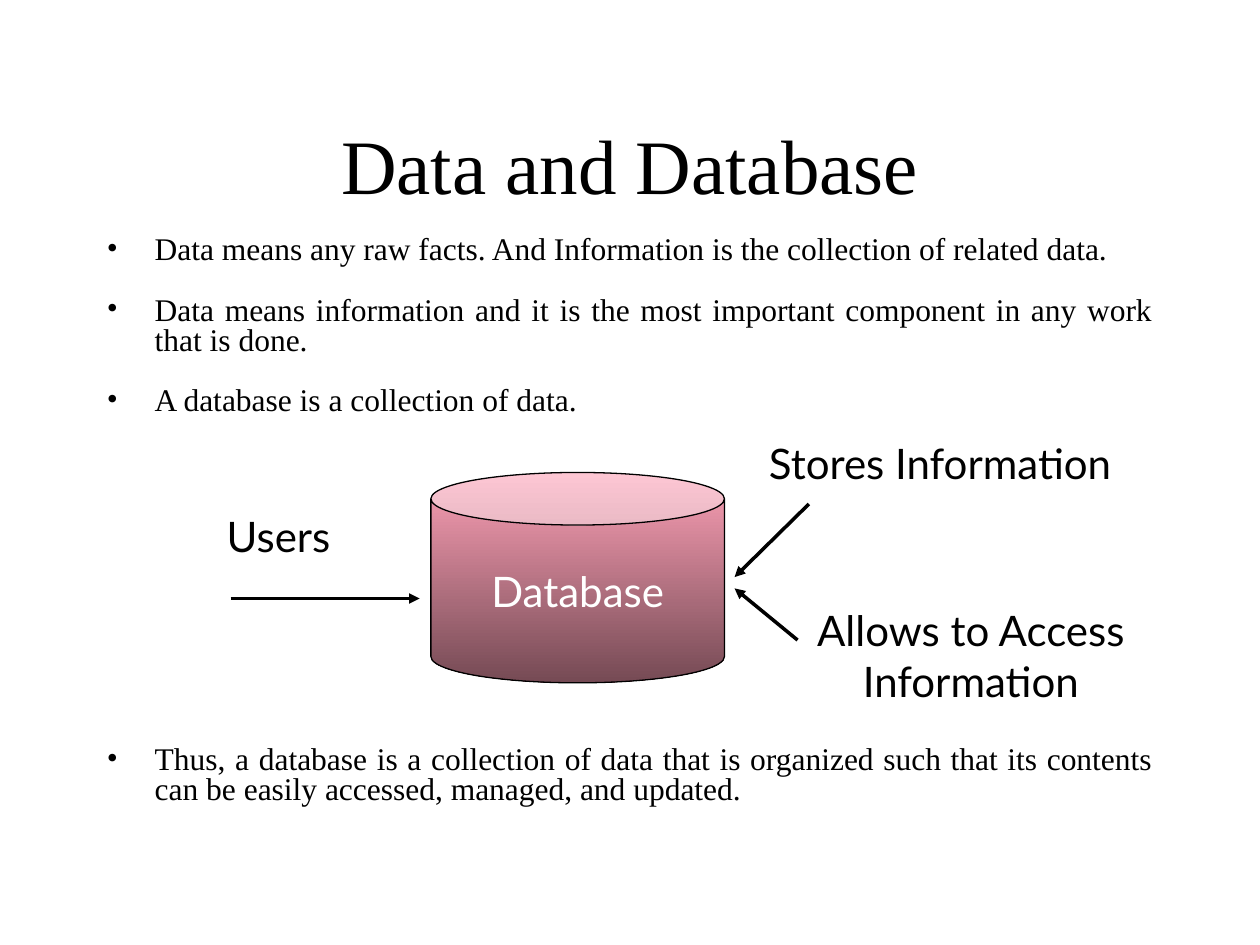
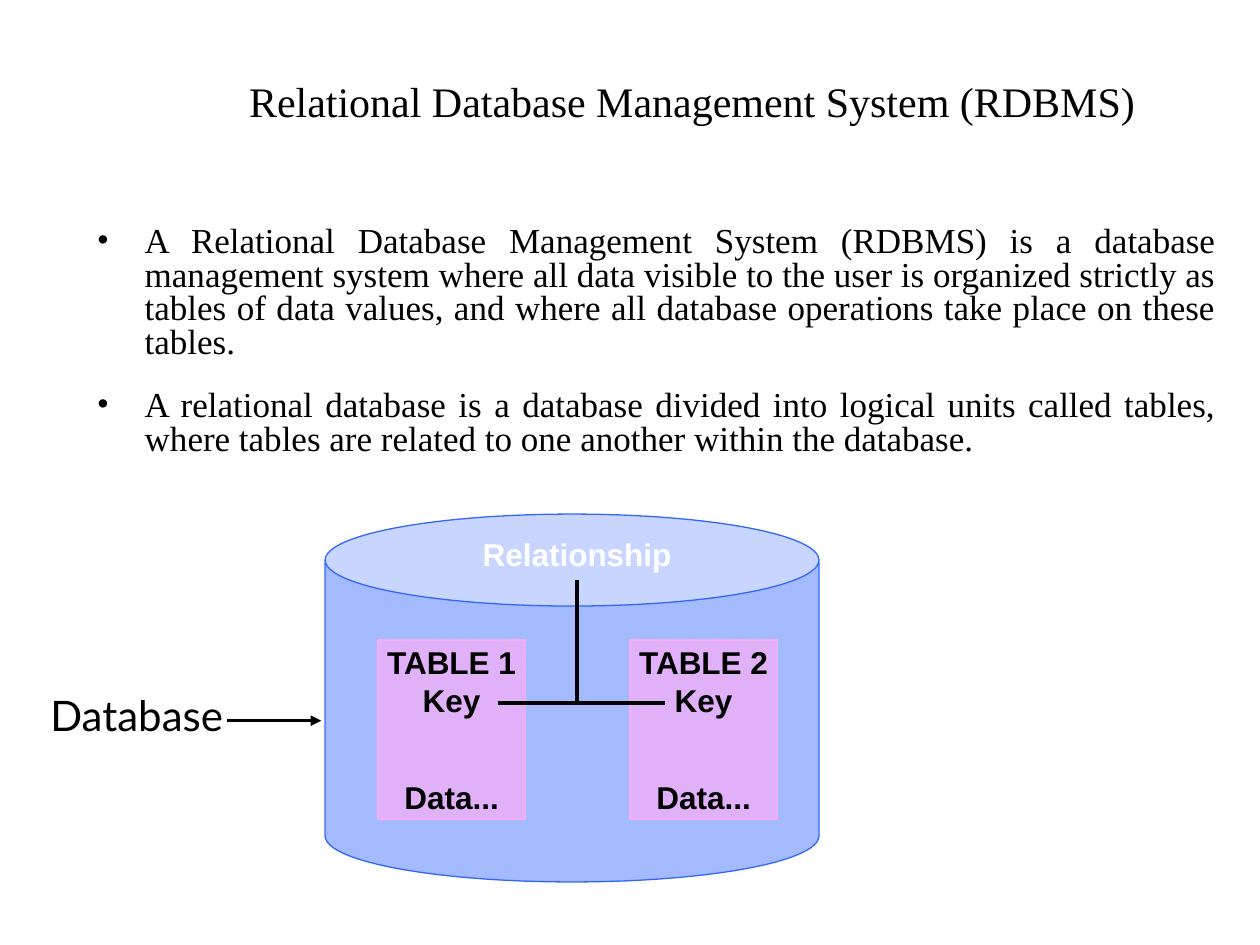
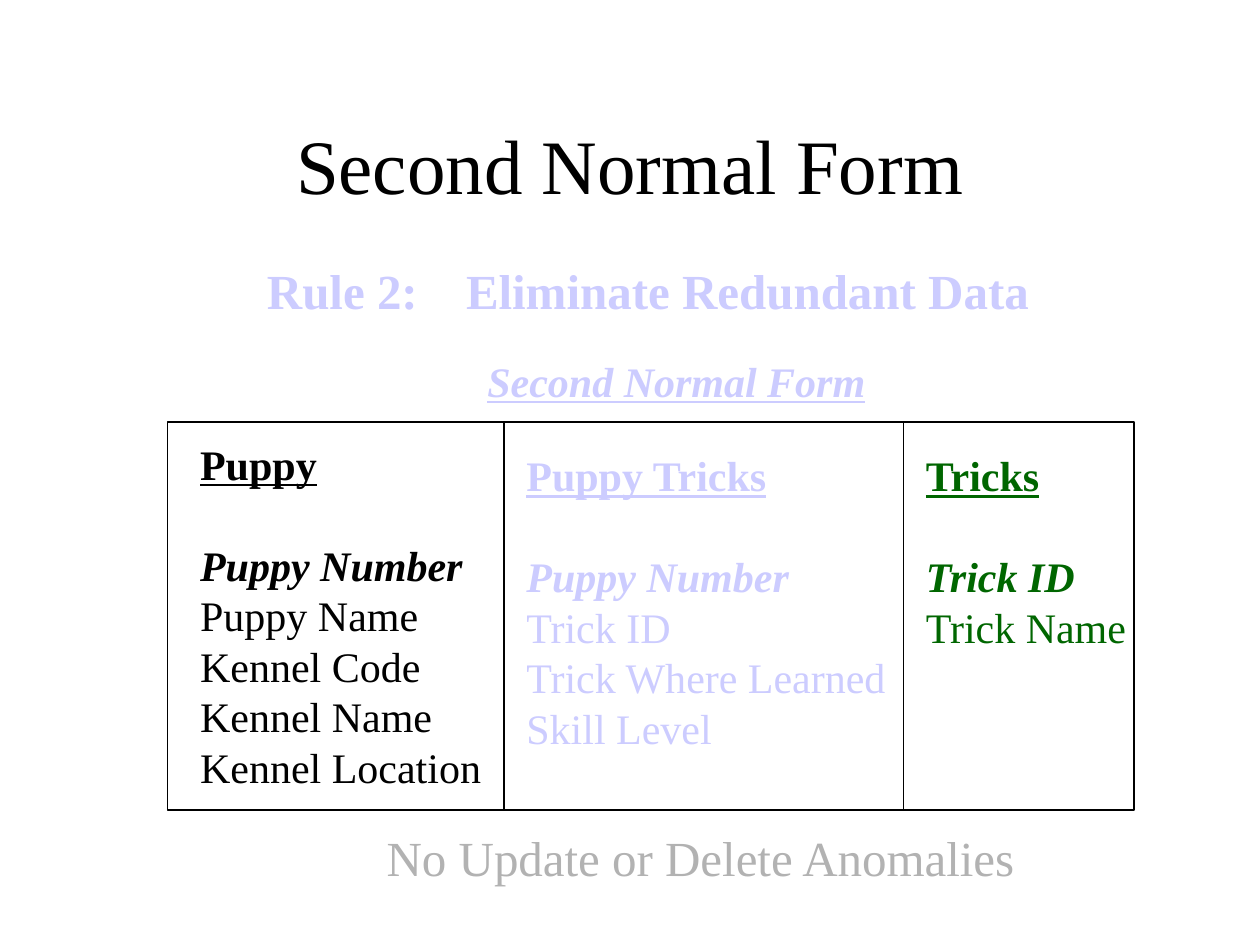
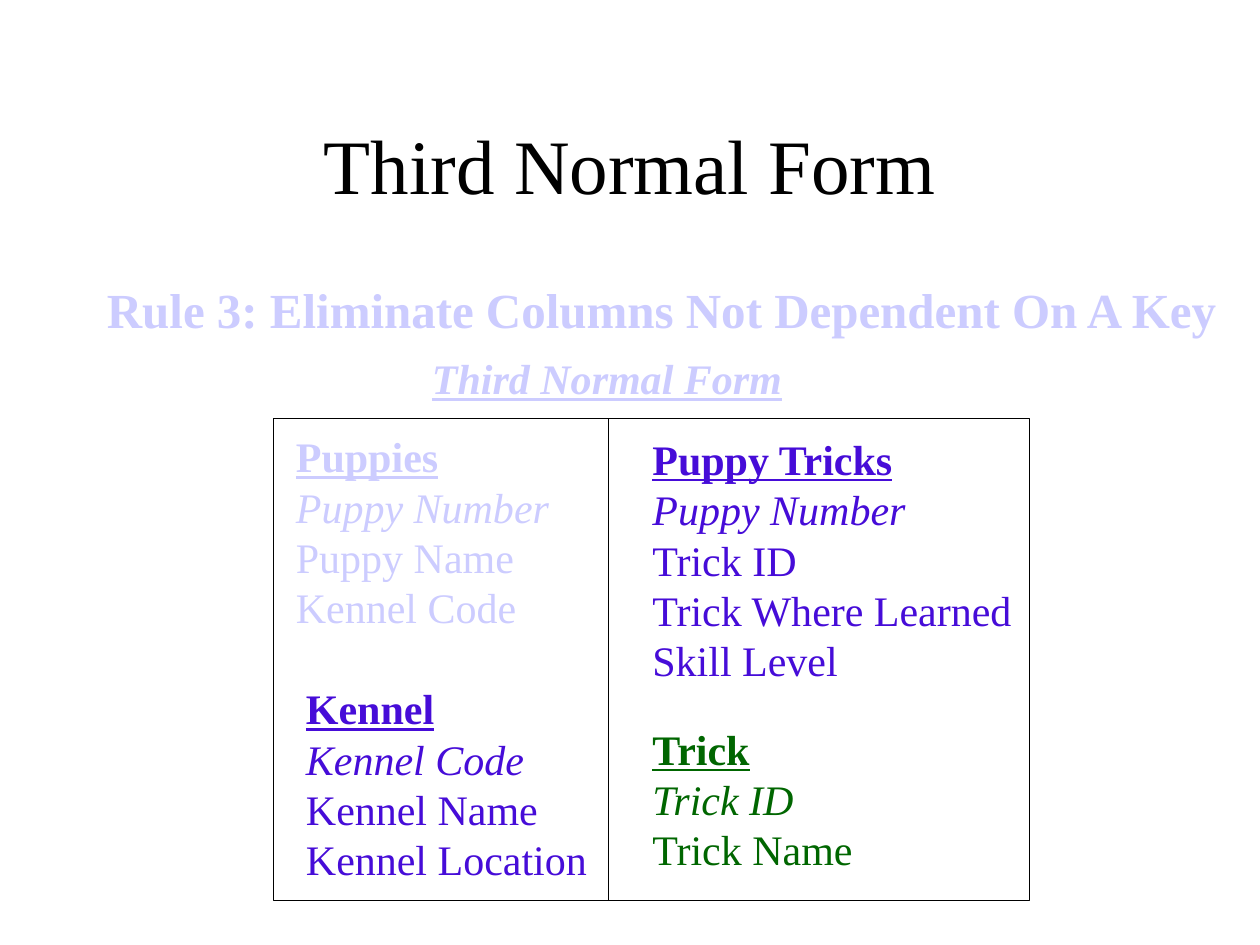
"""Build four slides about databases and normal forms."""
from lxml import etree
from pptx import Presentation, util as u
from pptx.dml.color import RGBColor
from pptx.enum import shapes, text
from pptx.oxml import ns

SERIF, SANS, LABEL = "Times New Roman", "Arial", "Lato"
BLACK, WHITE, GREY = "000000", "FFFFFF", "B2B2B2"
LILAC, VIOLET, GREEN = "CCCCFF", "460CD8", "006600"
BLUE, PINK = "3366FF", "F9ADF7"
ROSE_GRADIENT = ("FCA0B6", "754A54")
CENTER, JUSTIFY, LEFT = text.PP_ALIGN.CENTER, text.PP_ALIGN.JUSTIFY, text.PP_ALIGN.LEFT
TITLE_BOX = (0.75, 0.67, 8.5, 1.25)
LINE_HEIGHT = 0.4


def color(value):
    """Turn a hex string into a colour."""
    return RGBColor.from_string(value)


def apply_format(target, values):
    """Set every attribute named in a dict of format values."""
    for name, value in values.items():
        setattr(target, name, value)


def inches(*lengths):
    """Convert numbers to lengths in inches."""
    return [u.Inches(length) for length in lengths]


def add_child(parent, tag, **attributes):
    """Append a drawing element with attributes."""
    return etree.SubElement(parent, ns.qn(tag), attributes)


def style_text(paragraph, words, size, face=SERIF, tint=BLACK, align=LEFT, spacing=None, **font):
    """Fill a paragraph with one formatted run."""
    run = paragraph.add_run()
    run.text = words
    apply_format(run.font, {"size": u.Pt(size), "name": face, **font})
    run.font.color.rgb = color(tint)
    apply_format(paragraph, {"alignment": align, **(spacing or {})})
    return paragraph


def paragraphs(frame, count):
    """Return the wanted number of paragraphs in an empty frame."""
    return [frame.paragraphs[0]] + [frame.add_paragraph() for _ in range(count - 1)]


def add_text(slide, box, words, size, wrap=True, anchor=text.MSO_ANCHOR.TOP, **look):
    """Add a text box with one paragraph for the words."""
    shape = slide.shapes.add_textbox(*inches(*box))
    apply_format(shape.text_frame, {"word_wrap": wrap, "vertical_anchor": anchor})
    style_text(shape.text_frame.paragraphs[0], words, size, **look)
    return shape


def add_title(slide, words, size=44, box=TITLE_BOX):
    """Add the centred slide title."""
    add_text(slide, box, words, size, anchor=text.MSO_ANCHOR.MIDDLE, align=CENTER)


def add_label(slide, box, words):
    """Add a centred diagram label."""
    add_text(slide, box, words, 24, face=LABEL, align=CENTER)


def add_bullets(slide, box, items, size):
    """Add justified bullets given as pairs of words and space before."""
    frame = slide.shapes.add_textbox(*inches(*box)).text_frame
    frame.word_wrap = True
    for paragraph, (words, before) in zip(paragraphs(frame, len(items)), items):
        spacing = {"line_spacing": 0.8, "space_before": u.Pt(before)}
        style_text(paragraph, words, size, align=JUSTIFY, spacing=spacing)
        properties = paragraph._p.get_or_add_pPr()
        indent = u.Inches(0.38)
        properties.set("marL", str(indent))
        properties.set("indent", str(-indent))
        add_child(properties, "a:buFont", typeface=SERIF)
        add_child(properties, "a:buChar", char="•")


def add_line(slide, start, end, width=2, arrow=False):
    """Add a straight black connector."""
    line = slide.shapes.add_connector(shapes.MSO_CONNECTOR.STRAIGHT, *inches(*start, *end))
    line.line.color.rgb = color(BLACK)
    line.line.width = u.Pt(width)
    if arrow:
        add_child(line.line._get_or_add_ln(), "a:tailEnd", type="triangle")
    add_child(line._element.spPr, "a:effectLst")
    return line


def add_outlined(slide, kind, box, outline, fill=None, opacity=100):
    """Add a thinly outlined shape with an optional translucent fill."""
    shape = slide.shapes.add_shape(kind, *inches(*box))
    shape.shadow.inherit = False
    shape.line.color.rgb = color(outline)
    shape.line.width = u.Pt(0.75)
    if fill is None:
        shape.fill.background()
    else:
        shape.fill.solid()
        shape.fill.fore_color.rgb = color(fill)
        solid = shape._element.spPr.find(ns.qn("a:solidFill"))
        add_child(solid[0], "a:alpha", val=str(opacity * 1000))
    return shape


def store_diagram(slide, left, top):
    """Draw the database with its users and its two services."""
    can = add_outlined(slide, shapes.MSO_SHAPE.CAN, (left + 1.75, top + 0.33, 2.33, 1.67), BLACK)
    can.fill.gradient()
    can.fill.gradient_angle = 270
    for stop, tint in zip(can.fill.gradient_stops, ROSE_GRADIENT):
        stop.color.rgb = color(tint)
    can.text_frame.word_wrap = False
    style_text(can.text_frame.paragraphs[0], "Database", 24, LABEL, WHITE, CENTER)
    for words, x, y, width in (
        ("Users", 0, 0.58, 1.08),
        ("Allows to Access Information", 4.41, 1.33, 3.25),
        ("Stores Information", 4.33, 0, 2.92),
    ):
        add_label(slide, (left + x, top + y, width, 0.9), words)
    for x1, y1, x2, y2 in (
        (4.75, 0.58, 4.16, 1.16),
        (4.66, 1.66, 4.16, 1.25),
        (0.16, 1.33, 1.66, 1.33),
    ):
        add_line(slide, (left + x1, top + y1), (left + x2, top + y2), arrow=True)


def key_table(slide, box, name):
    """Draw one translucent table card."""
    card = add_outlined(slide, shapes.MSO_SHAPE.RECTANGLE, box, PINK, PINK, 71)
    card.text_frame.word_wrap = False
    rows = ((name, 0), ("Key", 0), ("Data...", 34))
    for paragraph, (words, before) in zip(paragraphs(card.text_frame, len(rows)), rows):
        style_text(paragraph, words, 18, SANS, BLACK, CENTER, {"space_before": u.Pt(before)}, bold=True)


def relation_diagram(slide, left, top):
    """Draw two tables related by key inside a database."""
    add_outlined(slide, shapes.MSO_SHAPE.CAN, (left + 2.33, top, 3.92, 2.92), BLUE, BLUE, 45)
    for index in range(2):
        key_table(slide, (left + 2.75 + 2 * index, top + 1, 1.17, 1.42), f"TABLE {index + 1}")
    label = add_text(slide, (left + 3.37, top + 0.12, 1.92, 0.4), "Relationship", 18,
                     face=SANS, tint=WHITE, align=CENTER, bold=True)
    add_line(slide, (left + 3.7, top + 1.5), (left + 5.03, top + 1.5))
    stem = add_line(slide, (left + 4.33, top + 0.5), (left + 4.33, top + 1.5))
    stem.begin_connect(label, 2)
    add_label(slide, (left, top + 1.34, 1.67, 0.9), "Database")
    add_line(slide, (left + 1.55, top + 1.64), (left + 2.3, top + 1.64), arrow=True)


def add_listing(slide, left, top, width, tint, fields, bold_key, gap):
    """List an entity's heading, its key and its other fields."""
    lines = len(fields) + (1 if gap else 0)
    shape = slide.shapes.add_textbox(*inches(left, top, width, lines * LINE_HEIGHT + 0.1))
    frame = shape.text_frame
    frame.word_wrap = False
    looks = [{"bold": True, "underline": True}, {"bold": bold_key, "italic": True}]
    looks += [{}] * (len(fields) - 2)
    for index, paragraph in enumerate(paragraphs(frame, len(fields))):
        spacing = {"space_before": u.Pt(gap if index == 1 else 0)}
        style_text(paragraph, fields[index], 24, tint=tint, spacing=spacing, **looks[index])


def entity_grid(slide, box, dividers, listings, bold_key=False, gap=0):
    """Draw a framed grid of entity listings."""
    left, top, _, height = box
    for x, y, width, tint, fields in listings:
        add_listing(slide, left + x, top + y, width, tint, fields, bold_key, gap)
    add_outlined(slide, shapes.MSO_SHAPE.RECTANGLE, box, BLACK)
    for x in dividers:
        add_line(slide, (left + x, top), (left + x, top + height), 0.75)


def form_heading(slide, title, rule, rule_box, caption_box):
    """Add the title, rule and caption of a normal form; return the rule."""
    add_title(slide, title)
    shape = add_text(slide, rule_box, rule, 28, tint=LILAC, bold=True)
    add_text(slide, caption_box, title, 24, wrap=False, tint=LILAC,
             bold=True, italic=True, underline=True)
    return shape


def data_slide(slide):
    """Build the slide on data and databases."""
    add_title(slide, "Data and Database")
    add_bullets(slide, (0.75, 1.83, 8.5, 5.08), (
        ("Data means any raw facts. And Information is the collection of related data.", 17),
        ("Data means information and it is the most important component in any work that is done.", 17),
        ("A database is a collection of data.", 17),
        ("Thus, a database is a collection of data that is organized such that its contents "
         "can be easily accessed, managed, and updated.", 188),
    ), 18)
    store_diagram(slide, 1.67, 3.42)


def relational_slide(slide):
    """Build the slide on relational databases."""
    add_title(slide, "Relational Database Management System (RDBMS)", 24, (1.08, 0.17, 8.83, 1.25))
    add_bullets(slide, (0.67, 1.75, 9.08, 2.08), (
        ("A Relational Database Management System (RDBMS) is a database management system "
         "where all data visible to the user is organized strictly as tables of data values, "
         "and where all database operations take place on these tables.", 17),
        ("A relational database is a database divided into logical units called tables, "
         "where tables are related to one another within the database.", 17),
    ), 20)
    relation_diagram(slide, 0.25, 4.08)


def second_form_slide(slide):
    """Build the slide on the second normal form."""
    rule = form_heading(slide, "Second Normal Form", "Rule 2:\tEliminate Redundant Data",
                        (2.02, 2.02, 6.92, 0.57), (3.77, 2.77, 3.2, 0.5))
    properties = rule.text_frame.paragraphs[0]._p.get_or_add_pPr()
    tabs = add_child(properties, "a:tabLst")
    add_child(tabs, "a:tab", pos=str(u.Inches(1.58)), algn="l")
    entity_grid(slide, (1.33, 3.35, 7.67, 3.08), (2.67, 5.84), (
        (0.16, 0.08, 2.43, BLACK, ("Puppy", "Puppy Number", "Puppy Name", "Kennel Code",
                                   "Kennel Name", "Kennel Location")),
        (5.92, 0.17, 1.8, GREEN, ("Tricks", "Trick ID", "Trick Name")),
        (2.75, 0.17, 3.07, LILAC, ("Puppy Tricks", "Puppy Number", "Trick ID",
                                   "Trick Where Learned", "Skill Level")),
    ), bold_key=True, gap=29)
    note = add_text(slide, (2.68, 6.52, 5.58, 0.57), "No Update or Delete Anomalies", 28, tint=GREY)
    note.text_frame.paragraphs[0]._p.get_or_add_pPr().set("marL", str(u.Inches(0.29)))


def third_form_slide(slide):
    """Build the slide on the third normal form."""
    form_heading(slide, "Third Normal Form", "Rule 3: Eliminate Columns Not Dependent On A Key",
                 (0.75, 2.17, 9.08, 0.57), (3.33, 2.75, 2.98, 0.5))
    entity_grid(slide, (2.17, 3.32, 6, 3.83), (2.66,), (
        (0.08, 0.05, 2.21, LILAC, ("Puppies", "Puppy Number", "Puppy Name", "Kennel Code")),
        (2.91, 0.07, 3.07, VIOLET, ("Puppy Tricks", "Puppy Number", "Trick ID",
                                    "Trick Where Learned", "Skill Level")),
        (0.16, 2.05, 2.43, VIOLET, ("Kennel", "Kennel Code", "Kennel Name", "Kennel Location")),
        (2.91, 2.37, 1.8, GREEN, ("Trick", "Trick ID", "Trick Name")),
    ))


def main():
    """Build and save the presentation."""
    presentation = Presentation()
    apply_format(presentation, {"slide_width": u.Inches(10), "slide_height": u.Inches(7.5)})
    for build in (data_slide, relational_slide, second_form_slide, third_form_slide):
        build(presentation.slides.add_slide(presentation.slide_layouts[6]))
    presentation.save("out.pptx")


if __name__ == "__main__":
    main()
